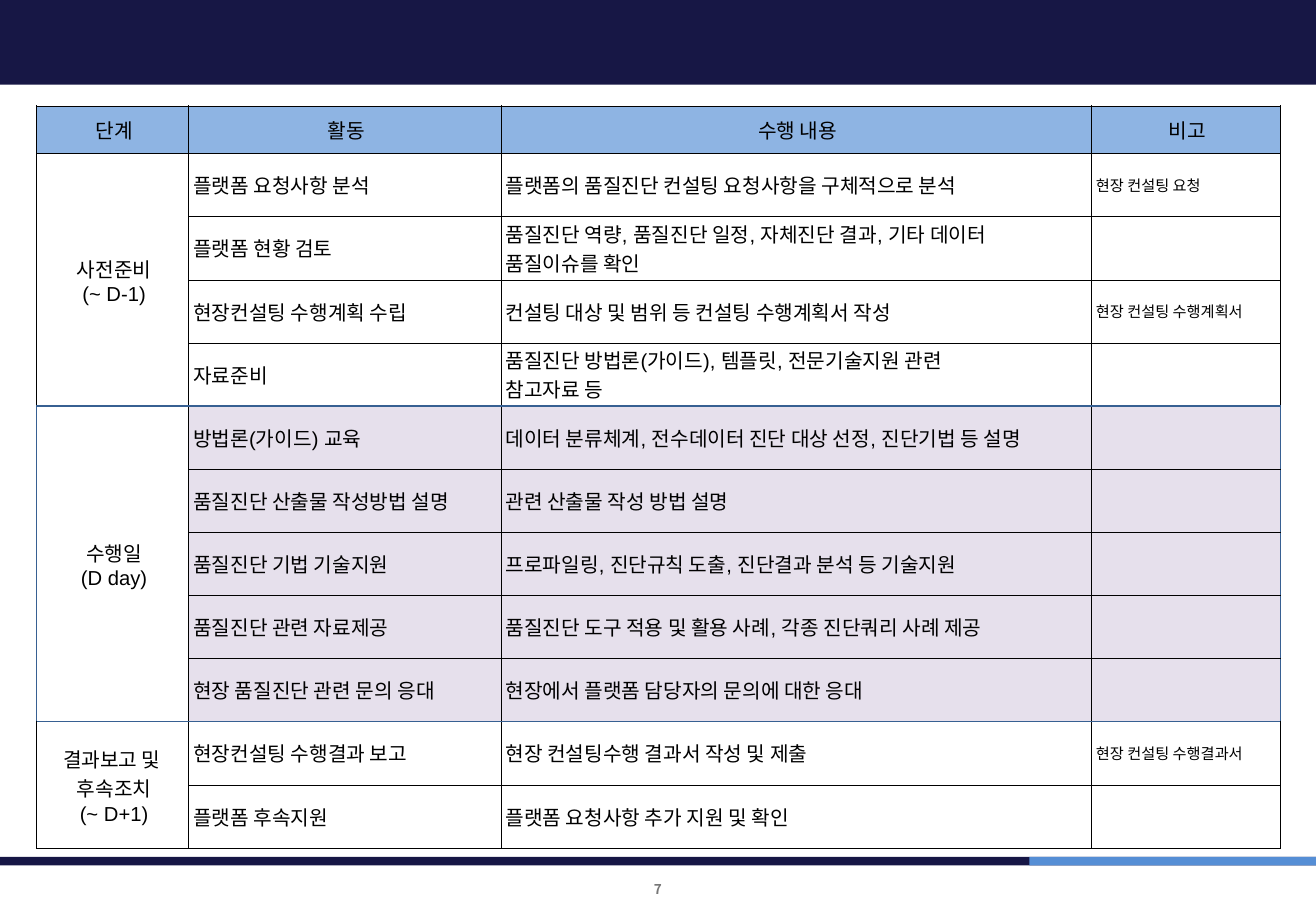
from lxml.etree import SubElement
from pptx import Presentation
from pptx.dml.color import RGBColor as RGB
from pptx.enum.shapes import MSO_SHAPE
from pptx.enum.text import MSO_ANCHOR as ANCHOR, PP_ALIGN as ALIGN
from pptx.oxml.ns import qn
from pptx.util import Cm, Pt

HEADERS = ["단계", "활동", "수행 내용", "비고"]
# "\n" starts a paragraph, "\v" breaks a line
STAGES = [
    {"name": "사전준비\n(~ D-1)", "active": False, "rows": [
        ("플랫폼 요청사항 분석", "플랫폼의 품질진단 컨설팅 요청사항을 구체적으로 분석", "현장 컨설팅 요청"),
        ("플랫폼 현황 검토", "품질진단 역량, 품질진단 일정, 자체진단 결과, 기타 데이터 \v품질이슈를 확인", ""),
        ("현장컨설팅 수행계획 수립", "컨설팅 대상 및 범위 등 컨설팅 수행계획서 작성", "현장 컨설팅 수행계획서"),
        ("자료준비", "품질진단 방법론(가이드), 템플릿, 전문기술지원 관련\n참고자료 등", ""),
    ]},
    {"name": "수행일\v(D day)", "active": True, "rows": [
        ("방법론(가이드) 교육", "데이터 분류체계, 전수데이터 진단 대상 선정, 진단기법 등 설명", ""),
        ("품질진단 산출물 작성방법 설명", "관련 산출물 작성 방법 설명", ""),
        ("품질진단 기법 기술지원", "프로파일링, 진단규칙 도출, 진단결과 분석 등 기술지원", ""),
        ("품질진단 관련 자료제공", "품질진단 도구 적용 및 활용 사례, 각종 진단쿼리 사례 제공", ""),
        ("현장 품질진단 관련 문의 응대", "현장에서 플랫폼 담당자의 문의에 대한 응대", ""),
    ]},
    {"name": "결과보고 및 \n후속조치\n(~ D+1)", "active": False, "rows": [
        ("현장컨설팅 수행결과 보고", "현장 컨설팅수행 결과서 작성 및 제출", "현장 컨설팅 수행결과서"),
        ("플랫폼 후속지원", "플랫폼 요청사항 추가 지원 및 확인", ""),
    ]},
]
PAGE_NUMBER = "7"

THEME = {
    "latin": "Arial", "korean": "Noto Sans CJK KR",
    "body": 12, "note": 9, "page": 8,
    "banner": "171745", "footer": "161645", "footer_accent": "558ED5",
    "header": "8EB4E3", "active": "E6E0EC", "plain": "FFFFFF",
    "text": "000000", "page_text": "777777",
    "grid": ("000000", 0.25), "stage_edge": ("376092", 1),
}
SLIDE_W, SLIDE_H = 27.51, 19.05
TABLE_LEFT, TABLE_TOP = 0.76, 2.21
COL_WIDTHS = [3.18, 6.53, 12.34, 3.96]
HEADER_H, ROW_H = 1.0, 1.32
FOOTER_TOP, FOOTER_H, ACCENT_W = 17.92, 0.18, 5.99
BARS = [
    (0, 0, SLIDE_W, 1.77, "banner"),
    (0, FOOTER_TOP, SLIDE_W, FOOTER_H, "footer"),
    (SLIDE_W - ACCENT_W, FOOTER_TOP, ACCENT_W, FOOTER_H, "footer_accent"),
]
CELL_FORMAT = {"margin_left": Cm(0.1), "margin_top": 0, "margin_right": Cm(0.03),
               "margin_bottom": 0, "vertical_anchor": ANCHOR.MIDDLE}
PAGE_FORMAT = {"margin_left": 0, "margin_top": 0, "margin_right": 0, "margin_bottom": 0,
               "vertical_anchor": ANCHOR.MIDDLE, "word_wrap": True}


def apply(obj, values):
    for name, value in values.items():
        setattr(obj, name, value)


def write(tf, text, size, align, color="text", latin="latin", bold=False):
    tf.text = text
    for p in tf.paragraphs:
        p.alignment = align
        for r in p.runs:
            apply(r.font, {"name": THEME[latin], "size": Pt(size), "bold": bold})
            r.font.color.rgb = RGB.from_string(THEME[color])
            ea = SubElement(r.font._element, qn("a:ea"))
            ea.set("typeface", THEME["korean"])


def add_bar(slide, left, top, width, height, color):
    s = slide.shapes.add_shape(MSO_SHAPE.RECTANGLE, Cm(left), Cm(top), Cm(width), Cm(height))
    s.shadow.inherit = False
    s.fill.solid()
    s.fill.fore_color.rgb = RGB.from_string(THEME[color])
    s.line.fill.background()


def set_cell(cell, text, size, align, fill, accent=""):
    """Fill a cell; sides named in accent (of L, R, T, B) get the stage edge line."""
    apply(cell, CELL_FORMAT)
    write(cell.text_frame, text, size, align)
    tc_pr = cell._tc.get_or_add_tcPr()
    for side in "LRTB":
        color, width = THEME["stage_edge" if side in accent else "grid"]
        ln = SubElement(tc_pr, qn(f"a:ln{side}"), w=str(int(Pt(width))))
        SubElement(SubElement(ln, qn("a:solidFill")), qn("a:srgbClr"), val=color)
    cell.fill.solid()
    cell.fill.fore_color.rgb = RGB.from_string(THEME[fill])


def add_stage_table(slide):
    n_rows = sum(len(stage["rows"]) for stage in STAGES)
    table = slide.shapes.add_table(
        n_rows + 1, len(HEADERS), Cm(TABLE_LEFT), Cm(TABLE_TOP),
        Cm(sum(COL_WIDTHS)), Cm(HEADER_H + n_rows * ROW_H)).table
    apply(table, {"first_row": False, "horz_banding": False})
    for col, width in zip(table.columns, COL_WIDTHS):
        col.width = Cm(width)
    for i, row in enumerate(table.rows):
        row.height = Cm(ROW_H if i else HEADER_H)
    for c, text in enumerate(HEADERS):
        set_cell(table.cell(0, c), text, THEME["body"], ALIGN.CENTER, "header")

    start, last_col = 1, len(HEADERS) - 1
    for stage in STAGES:
        end = start + len(stage["rows"]) - 1
        top = "T" if start > 1 else ""
        bottom = "B" if end < n_rows else ""
        active = stage["active"]
        table.cell(start, 0).merge(table.cell(end, 0))
        set_cell(table.cell(start, 0), stage["name"], THEME["body"], ALIGN.CENTER,
                 "plain", top + bottom + ("L" if active else ""))
        for r, texts in enumerate(stage["rows"], start):
            edges = (top if r == start else "") + (bottom if r == end else "")
            for c, text in enumerate(texts, 1):
                is_note = c == last_col
                set_cell(table.cell(r, c), text, THEME["note" if is_note else "body"],
                         ALIGN.LEFT, "active" if active else "plain",
                         edges + ("R" if active and is_note else ""))
        start = end + 1


def main():
    prs = Presentation()
    apply(prs, {"slide_width": Cm(SLIDE_W), "slide_height": Cm(SLIDE_H)})
    slide = prs.slides.add_slide(prs.slide_layouts[6])
    for bar in BARS:
        add_bar(slide, *bar)
    page_w = 2.82
    tf = slide.shapes.add_textbox(Cm((SLIDE_W - page_w) / 2), Cm(18.34),
                                  Cm(page_w), Cm(0.51)).text_frame
    apply(tf, PAGE_FORMAT)
    write(tf, PAGE_NUMBER, THEME["page"], ALIGN.CENTER, "page_text", "korean", True)
    add_stage_table(slide)
    prs.save("out.pptx")


if __name__ == "__main__":
    main()
